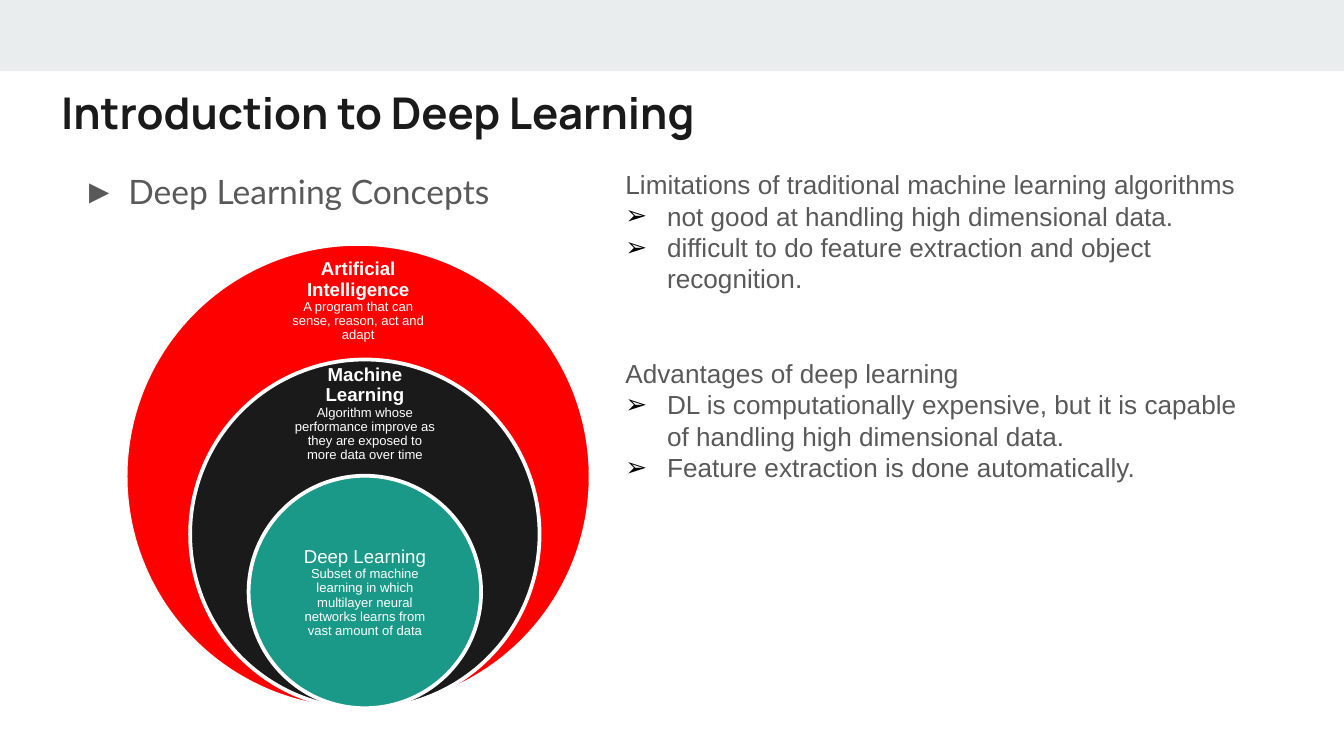
from lxml import etree
from pptx import Presentation
from pptx.dml.color import RGBColor
from pptx.enum.shapes import MSO_SHAPE
from pptx.enum.text import MSO_ANCHOR, MSO_AUTO_SIZE, PP_ALIGN
from pptx.oxml.ns import qn
from pptx.util import Pt

PX = 4572
RECTANGLE, OVAL = MSO_SHAPE.RECTANGLE, MSO_SHAPE.OVAL
TOP, MIDDLE = MSO_ANCHOR.TOP, MSO_ANCHOR.MIDDLE
LEFT, CENTER = PP_ALIGN.LEFT, PP_ALIGN.CENTER
NO_FIT = MSO_AUTO_SIZE.NONE
WHITE, INK, GRAY = "FFFFFF", "1A1A1A", "595959"

CIRCLES = [
    ((187, 363, 692), "FF0000", (412, 396, 242, 104), True,
     "Artificial Intelligence", "A program that can sense, reason, act and adapt"),
    ((283, 535, 520), INK, (422, 567, 242, 98), True,
     "Machine Learning",
     "Algorithm whose performance improve as they are exposed to more data over time"),
    ((370, 708, 346), "1A9988", (420, 795, 246, 174), False,
     "Deep Learning",
     "Subset of machine learning in which multilayer neural networks learns from vast amount of data"),
]
SECTIONS = [
    ("Limitations of traditional machine learning algorithms",
     ["not good at handling high dimensional data.",
      "difficult to do feature extraction and object recognition."]),
    ("Advantages of deep learning",
     ["DL is computationally expensive, but it is capable of handling high dimensional data.",
      "Feature extraction is done automatically."]),
]


def px(*lengths):
    return [length * PX for length in lengths]


def color(value):
    return RGBColor.from_string(value)


def write(para, text, size, font, tint, bold=False, align=LEFT):
    para.text = text
    para.alignment = align
    para.space_before = para.space_after = Pt(0)
    for span in para.runs:
        span.font.size = Pt(size)
        span.font.name = font
        span.font.bold = bold
        span.font.color.rgb = color(tint)


def add_bullet(para, symbol, tint, margin, indent):
    props = para._p.get_or_add_pPr()
    props.set("marL", str(margin * PX))
    props.set("indent", str(indent * PX))
    fill = etree.SubElement(props, qn("a:buClr"))
    etree.SubElement(fill, qn("a:srgbClr"), val=tint)
    etree.SubElement(props, qn("a:buFont"), typeface="Arial")
    etree.SubElement(props, qn("a:buChar"), char=symbol)


def set_frame(frame, inset, anchor=TOP):
    frame.word_wrap = True
    frame.auto_size = NO_FIT
    frame.vertical_anchor = anchor
    frame.margin_left = frame.margin_right = inset * PX
    frame.margin_top = frame.margin_bottom = inset * PX


def place(shape, bounds):
    shape.left, shape.top, shape.width, shape.height = px(*bounds)


def add_filled(page, kind, bounds, fill, line=None):
    shape = page.shapes.add_shape(kind, *px(*bounds))
    shape.shadow.inherit = False
    shape.fill.solid()
    shape.fill.fore_color.rgb = color(fill)
    if line:
        shape.line.color.rgb = color(line)
        shape.line.width = Pt(2)
    else:
        shape.line.fill.background()
    return shape


def add_circle(page, circle, fill, label, bold, heading, detail):
    left, top, diameter = circle
    add_filled(page, OVAL, (left, top, diameter, diameter), fill, WHITE)
    frame = page.shapes.add_textbox(*px(*label)).text_frame
    set_frame(frame, 16, MIDDLE)
    para = frame.paragraphs[0]
    write(para, f"{heading}\v{detail}", 7, "Arial", WHITE, align=CENTER)
    para.line_spacing = 0.9
    para.runs[0].font.size = Pt(10)
    para.runs[0].font.bold = bold
    line_break = para._p.find(qn("a:br"))
    etree.SubElement(line_break, qn("a:rPr"), sz="1000")


def add_sections(page, bounds):
    frame = page.shapes.add_textbox(*px(*bounds)).text_frame
    frame.word_wrap = True
    for number, (heading, points) in enumerate(SECTIONS):
        para = frame.add_paragraph() if number else frame.paragraphs[0]
        write(para, heading, 14, "Arial", GRAY)
        if number:
            para.space_before = Pt(34)
        for point in points:
            para = frame.add_paragraph()
            add_bullet(para, "➢", "000000", 62, -62)
            write(para, point, 14, "Arial", GRAY)


def fill_placeholders(page):
    title, body = page.placeholders
    place(title, (71, 108, 1682, 118))
    set_frame(title.text_frame, 20)
    write(title.text_frame.paragraphs[0], "Introduction to Deep Learning",
          23.4, "Manrope", INK, True)
    place(body, (71, 205, 1682, 832))
    set_frame(body.text_frame, 20)
    para = body.text_frame.paragraphs[0]
    add_bullet(para, "►", GRAY, 100, -68)
    write(para, "Deep Learning Concepts", 18, "Lato", GRAY)
    para.line_spacing = 1.5


def main():
    deck = Presentation()
    deck.slide_width, deck.slide_height = px(2000, 1125)
    page = deck.slides.add_slide(deck.slide_layouts[1])
    fill_placeholders(page)
    band = add_filled(page, RECTANGLE, (0, 0, 2000, 106), "E9EDEE")
    page.shapes[0]._element.addprevious(band._element)
    for circle in CIRCLES:
        add_circle(page, *circle)
    add_sections(page, (911, 241, 964, 492))
    deck.save("out.pptx")


if __name__ == "__main__":
    main()
